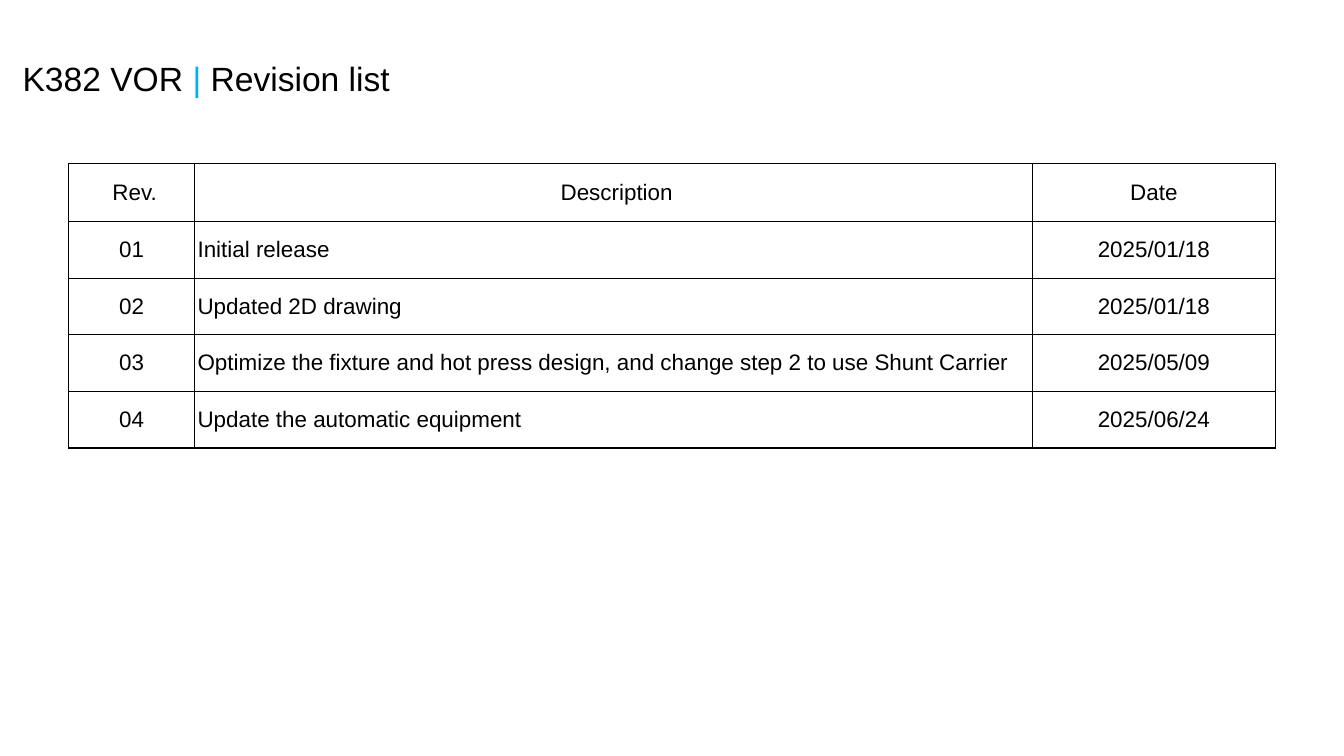
from lxml import etree
from pptx import Presentation
from pptx.dml.color import RGBColor
from pptx.enum import text
from pptx.oxml import ns
from pptx.util import Pt

BLACK = "000000"
BLUE = "00B0F0"
REVISIONS = [
    (" Rev.", " Description", "Date"),
    ("01", "Initial release", "2025/01/18"),
    ("02", "Updated 2D drawing", "2025/01/18"),
    ("03", "Optimize the fixture and hot press design, and change step 2 to use Shunt Carrier", "2025/05/09"),
    ("04", "Update the automatic equipment", "2025/06/24"),
]
COLUMN_WIDTHS = [180, 1197.36, 346.32]
ROW_HEIGHTS = [83.52] + [80.8] * 4


def add_run(paragraph, words, size, color=BLACK):
    run = paragraph.add_run()
    run.text = words
    run.font.name = "Arial"
    run.font.size = Pt(size)
    run.font.bold = False
    run.font.color.rgb = RGBColor.from_string(color)


def add_border(cell, side, width):
    """Draw one black cell edge; side is L, R, T or B, in that order."""
    line = etree.SubElement(cell._tc.get_or_add_tcPr(), ns.qn(f"a:ln{side}"), w=str(Pt(width)))
    fill = etree.SubElement(line, ns.qn("a:solidFill"))
    etree.SubElement(fill, ns.qn("a:srgbClr"), val=BLACK)


presentation = Presentation()
presentation.slide_width = Pt(1920)
presentation.slide_height = Pt(1080)
slide = presentation.slides.add_slide(presentation.slide_layouts[6])

# Title
title = slide.shapes.add_textbox(Pt(25.2), Pt(74.88), Pt(743.76), Pt(72.72))
frame = title.text_frame
frame.word_wrap = True
frame.auto_size = text.MSO_AUTO_SIZE.SHAPE_TO_FIT_TEXT
frame.margin_left = frame.margin_right = frame.margin_top = frame.margin_bottom = Pt(7.2)
for words, color in [("K382 VOR ", BLACK), ("|", BLUE), (" Revision list", BLACK)]:
    add_run(frame.paragraphs[0], words, 48, color)

# Revision table
table = slide.shapes.add_table(
    len(REVISIONS), len(COLUMN_WIDTHS), Pt(97.92), Pt(233.28),
    Pt(sum(COLUMN_WIDTHS)), Pt(sum(ROW_HEIGHTS))).table
table.first_row = False
table.horz_banding = False
for column, width in zip(table.columns, COLUMN_WIDTHS):
    column.width = Pt(width)
for row, height in zip(table.rows, ROW_HEIGHTS):
    row.height = Pt(height)

last_column = len(COLUMN_WIDTHS) - 1
for row_index, revision in enumerate(REVISIONS):
    for column_index, words in enumerate(revision):
        cell = table.cell(row_index, column_index)
        is_header = row_index == 0
        is_description = column_index == 1 and not is_header
        margin = 2.88 if is_header or column_index == last_column else 4.32
        cell.margin_left = cell.margin_right = cell.margin_top = cell.margin_bottom = Pt(margin)
        cell.vertical_anchor = text.MSO_ANCHOR.MIDDLE
        paragraph = cell.text_frame.paragraphs[0]
        paragraph.alignment = text.PP_ALIGN.LEFT if is_description else text.PP_ALIGN.CENTER
        add_run(paragraph, words, 32)
        add_border(cell, "L", 1 if column_index == 0 else 2)
        add_border(cell, "R", 1 if column_index == last_column else 2)
        add_border(cell, "T", 1 if is_header else 2)
        add_border(cell, "B", 2)
        cell.fill.background()

presentation.save("out.pptx")
